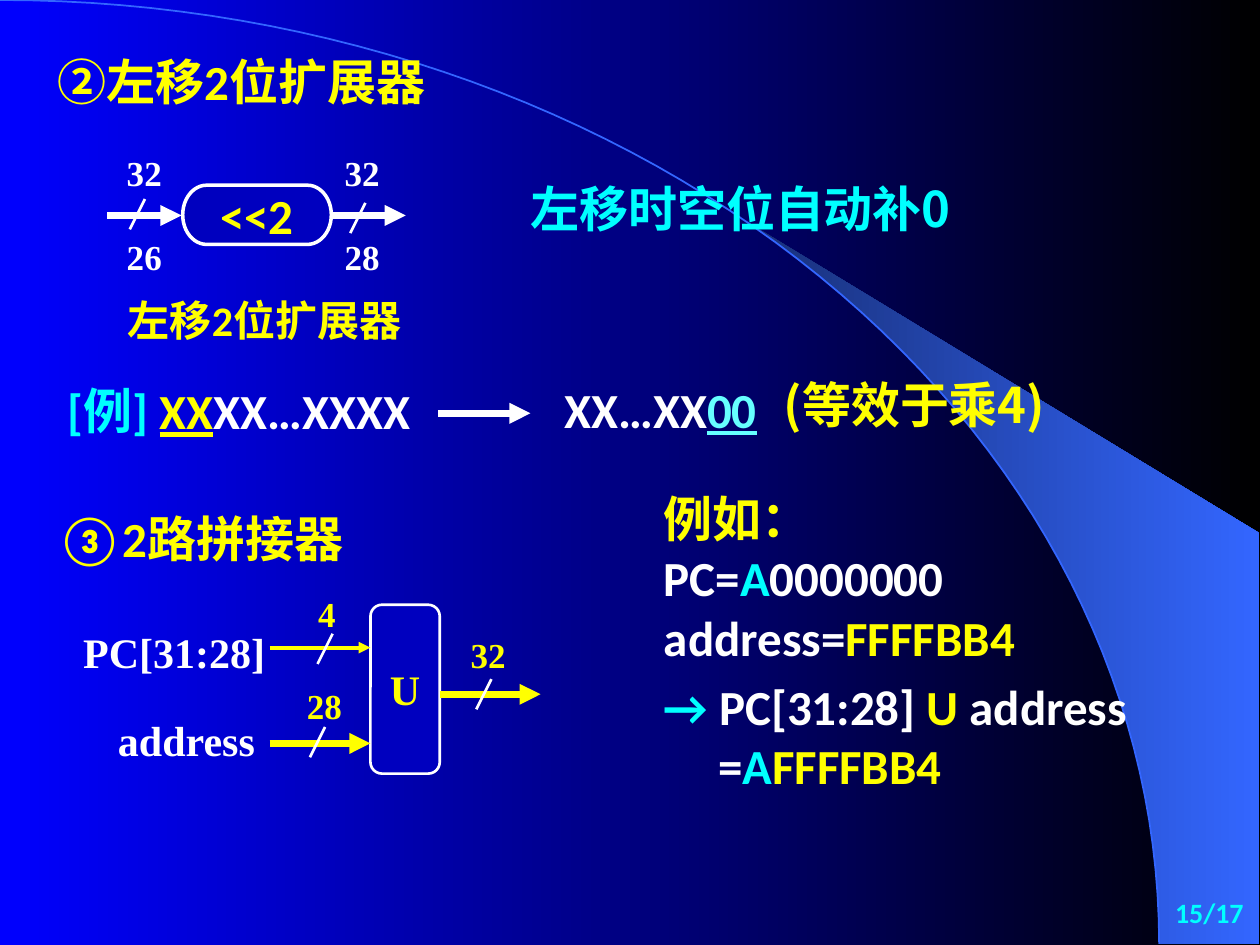
from math import cos, radians, sin

from pptx import Presentation
from pptx.dml.color import RGBColor
from pptx.enum.shapes import MSO_CONNECTOR as Link, MSO_SHAPE as Form
from pptx.enum.text import MSO_ANCHOR as Anchor, PP_ALIGN as Align
from pptx.oxml.ns import qn
from pptx.util import Inches, Pt
from lxml.etree import SubElement

HUES = {
    "blue": "0000FF", "black": "000000", "navy": "182F76", "arc": "3366FF",
    "box": "0000BF", "white": "FFFFFF", "yellow": "FFFF00",
    "cyan": "00FFFF", "aqua": "66FFFF",
}
SANS, SERIF, HAN = "Calibri", "Times New Roman", "Noto Sans CJK SC"


def color(name):
    return RGBColor.from_string(HUES[name])


def blend(fill, start, end):
    fill.gradient()
    fill.gradient_angle = 0
    for stop, name in zip(fill.gradient_stops, (start, end)):
        stop.color.rgb = color(name)


def outline(slide, points, close):
    dots = [(Inches(x), Inches(y)) for x, y in points]
    pen = slide.shapes.build_freeform(*dots[0], scale=1.0)
    pen.add_line_segments(dots[1:], close=close)
    shape = pen.convert_to_shape()
    shape.shadow.inherit = False
    return shape


def curve(start):
    steps = 60
    turns = [radians(start + (90 - start) * i / steps) for i in range(steps + 1)]
    return [(9.2 * sin(t), 7.49 * (1 - cos(t))) for t in turns]


def backdrop(slide):
    blend(slide.background.fill, "blue", "black")
    band = outline(slide, curve(39.8) + [(9.99, 7.49), (9.99, 4.23)], True)
    blend(band.fill, "navy", "arc")
    band.line.fill.background()
    rim = outline(slide, curve(0), False)
    rim.fill.background()
    rim.line.color.rgb = color("arc")
    rim.line.width = Pt(1)


def write(frame, lines, size, face, align=Align.LEFT, indent=0):
    for i, runs in enumerate(lines):
        para = frame.paragraphs[0] if i == 0 else frame.add_paragraph()
        para.alignment = align
        if indent:
            props = para._p.get_or_add_pPr()
            props.set("marL", str(Inches(indent)))
            props.set("indent", str(-Inches(indent) if i == 0 else 0))
        para.font.size = Pt(size)
        para.font.name = face
        para.font.bold = True
        for words, hue, *under in runs:
            run = para.add_run()
            run.text = words
            run.font.color.rgb = color(hue)
            if under:
                run.font.underline = True
            SubElement(run._r.get_or_add_rPr(), qn("a:ea")).set("typeface", HAN)


def text(slide, spot, lines, size=28, face=SANS, align=Align.LEFT,
         indent=0, wrap=True):
    frame = slide.shapes.add_textbox(*map(Inches, spot)).text_frame
    frame.word_wrap = wrap
    frame.margin_left = frame.margin_right = Inches(0.11)
    write(frame, lines, size, face, align, indent)


def label(slide, x, y, words, hue):
    text(slide, (x, y, 0.81, 0.44), [[(words, hue)]], 20, SERIF, Align.CENTER)


def block(slide, form, spot, words, size, face, width):
    shape = slide.shapes.add_shape(form, *map(Inches, spot))
    shape.shadow.inherit = False
    shape.fill.solid()
    shape.fill.fore_color.rgb = color("box")
    shape.line.color.rgb = color("white")
    shape.line.width = Pt(width)
    frame = shape.text_frame
    frame.margin_left = frame.margin_right = 0
    frame.margin_top = frame.margin_bottom = 0
    frame.vertical_anchor = Anchor.MIDDLE
    write(frame, [[(words, "yellow")]], size, face, Align.CENTER)


def line(slide, ends, hue, width, head=False):
    link = slide.shapes.add_connector(Link.STRAIGHT, *map(Inches, ends))
    link.line.color.rgb = color(hue)
    link.line.width = Pt(width)
    if head:
        SubElement(link.line._get_or_add_ln(), qn("a:tailEnd")).set("type", "triangle")
    SubElement(link._element.spPr, qn("a:effectLst"))


def bus(slide, left, right, y, hue, slash, width=4):
    line(slide, (left, y, right, y), hue, width, True)
    x, top = slash
    line(slide, (x, top, x - 0.12, top + 0.24), "white", 1.5)


def shifter(slide):
    for x, low in ((0.74, "26"), (2.47, "28")):
        label(slide, x, 1.15, "32", "white")
        label(slide, x, 1.82, low, "white")
    bus(slide, 0.85, 1.44, 1.71, "white", (1.15, 1.58))
    bus(slide, 2.63, 3.22, 1.71, "white", (2.9, 1.61))
    block(slide, Form.FLOWCHART_TERMINATOR, (1.45, 1.47, 1.18, 0.47),
          "<<2", 28, SANS, 2)
    text(slide, (0.67, 2.29, 2.86, 0.51), [[("左移2位扩展器", "yellow")]],
         24, align=Align.CENTER)


def joiner(slide):
    block(slide, Form.FLOWCHART_ALTERNATE_PROCESS, (2.94, 4.8, 0.55, 1.34),
          "U", 24, SERIF, 1.5)
    text(slide, (0.55, 4.92, 1.68, 0.51), [[("PC[31:28]", "white")]], 24, SERIF)
    text(slide, (0.81, 5.62, 1.34, 0.51), [[("address", "white")]],
         24, SERIF, Align.CENTER)
    bus(slide, 2.14, 2.94, 5.14, "yellow", (2.64, 5.03), 2.25)
    bus(slide, 2.14, 2.94, 5.9, "yellow", (2.58, 5.77))
    bus(slide, 3.49, 4.29, 5.51, "yellow", (3.9, 5.39))
    for x, y, words in ((2.19, 4.65, "4"), (2.17, 5.38, "28"), (3.47, 4.98, "32")):
        label(slide, x, y, words, "yellow")


def sample(slide):
    text(slide, (0.43, 2.97, 3.47, 0.58),
         [[("[例] ", "cyan"), ("XX", "yellow", True), ("XX…XXXX", "white")]])
    line(slide, (3.48, 3.28, 4.21, 3.28), "white", 4, True)
    text(slide, (4.37, 2.96, 2.36, 0.58),
         [[("XX…XX", "white"), ("00", "aqua", True)]])
    text(slide, (6.11, 2.92, 3.15, 0.58), [[("(等效于乘4)", "yellow")]], face=HAN)


def case(slide):
    text(slide, (5.16, 3.83, 4.02, 1.04),
         [[("例如：", "yellow")],
          [("PC=", "white"), ("A", "cyan"), ("0000000", "white")]])
    text(slide, (5.16, 4.77, 3.7, 0.58),
         [[("address=", "white"), ("FFFFBB4", "yellow")]])
    text(slide, (5.16, 5.32, 4.41, 1.04),
         [[("→ ", "cyan"), ("PC[31:28] ", "white"), ("U", "yellow"),
           (" address", "white")],
          [("=", "white"), ("A", "cyan"), ("FFFFBB4", "yellow")]], indent=0.43)


def main():
    deck = Presentation()
    deck.slide_width, deck.slide_height = Inches(10), Inches(7.5)
    slide = deck.slides.add_slide(deck.slide_layouts[6])
    backdrop(slide)
    text(slide, (0.35, 0.36, 4.8, 0.58), [[("②左移2位扩展器", "yellow")]], indent=0.5)
    text(slide, (4.1, 1.37, 3.63, 0.57), [[("左移时空位自动补0", "cyan")]],
         face=HAN, wrap=False)
    shifter(slide)
    sample(slide)
    text(slide, (0.35, 3.99, 3.62, 0.58), [[("③2路拼接器", "yellow")]], indent=0.5)
    joiner(slide)
    case(slide)
    text(slide, (7.9, 7.06, 2.08, 0.42), [[("15/17", "cyan")]], 16, align=Align.RIGHT)
    deck.save("out.pptx")


if __name__ == "__main__":
    main()
